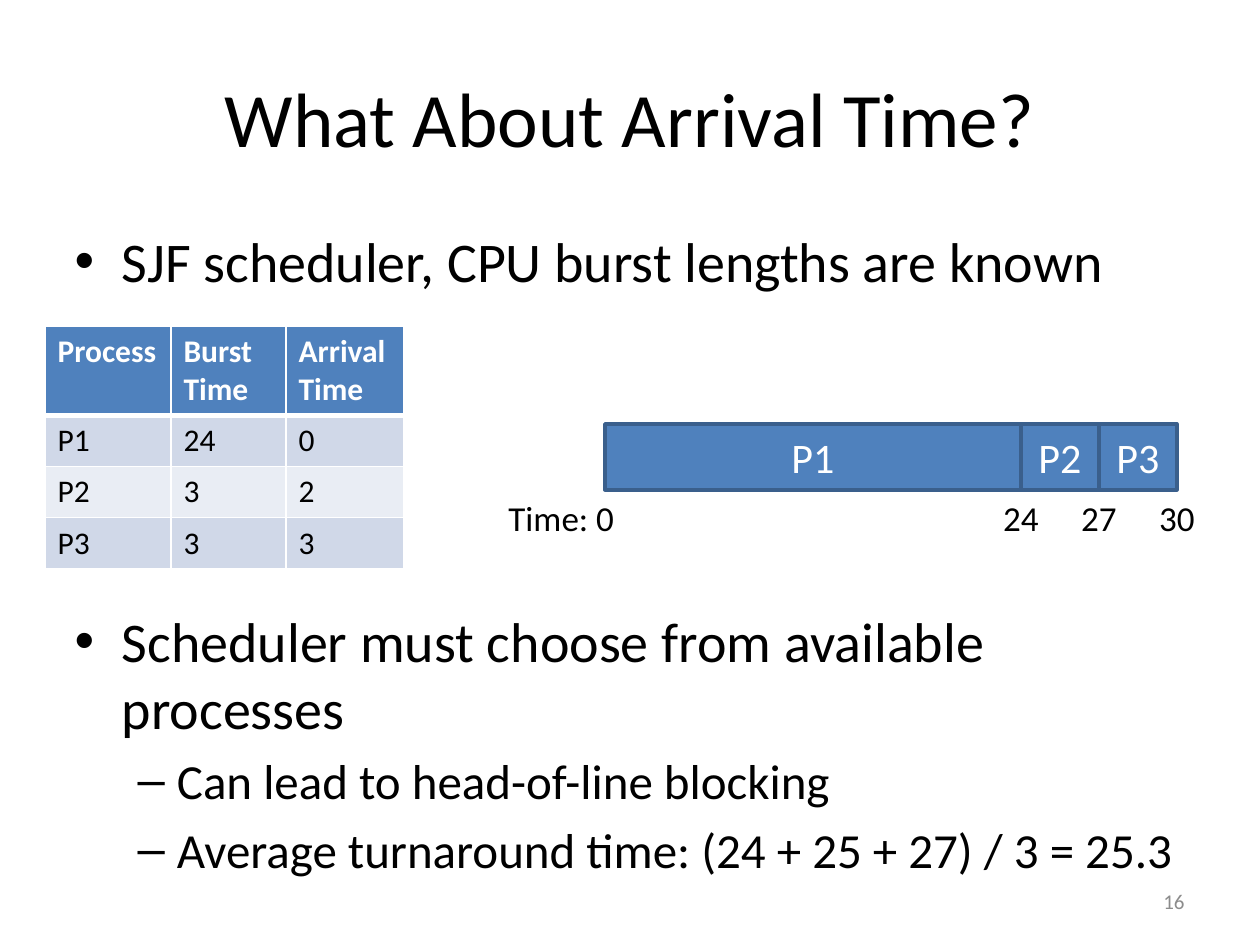
from lxml.etree import SubElement
from pptx import Presentation
from pptx.dml.color import RGBColor
from pptx.enum.shapes import MSO_SHAPE
from pptx.enum.text import MSO_ANCHOR, MSO_AUTO_SIZE, PP_ALIGN
from pptx.oxml.ns import qn
from pptx.util import Pt

TITLE = "What About Arrival Time?"
INTRO = [(0, "SJF scheduler, CPU burst lengths are known")]
POINTS = [
    (0, "Scheduler must choose from available processes"),
    (1, "Can lead to head-of-line blocking"),
    (1, "Average turnaround time: (24 + 25 + 27) / 3 = 25.3"),
]
ROWS = [
    ("Process", "Burst Time", "Arrival Time"),
    ("P1", "24", "0"),
    ("P2", "3", "2"),
    ("P3", "3", "3"),
]
COLS = (126, 115, 118)
HEAD, ROW = 89, 51
BARS = [("P1", 416, "24"), ("P2", 78, "27"), ("P3", 78, "30")]
START, TOP, HIGH = 605, 424, 66
SIZES = (32, 28)
COLORS = {
    "blue": "4F81BD", "edge": "3A5F8C", "odd": "D0D8E8", "even": "E9EDF4",
    "white": "FFFFFF", "black": "000000", "gray": "8C8C8C",
}
FONT = "Calibri"
SCALE = 914400 / 126


def px(n):
    return round(n * SCALE)


def rgb(name):
    return RGBColor.from_string(COLORS[name])


def style(para, size, color="black", align=None, bold=False):
    font = para.font
    font.name, font.size, font.bold = FONT, Pt(size), bold
    font.color.rgb = rgb(color)
    para.alignment = align


def place(shape, *box):
    shape.left, shape.top, shape.width, shape.height = map(px, box)


def label(text, box, size, color="black", align=None, wrap=False):
    frame = slide.shapes.add_textbox(*map(px, box)).text_frame
    frame.word_wrap = wrap
    frame.text = text
    style(frame.paragraphs[0], size, color, align)
    return frame


def bullets(holder, items, box):
    place(holder, *box)
    frame = holder.text_frame
    frame.auto_size = MSO_AUTO_SIZE.NONE
    frame.text = "\n".join(text for _, text in items)
    for para, (level, _) in zip(frame.paragraphs, items):
        para.level = level
        style(para, SIZES[level])


def border(cell, first):
    props = cell._tc.get_or_add_tcPr()
    for side in "LRTB":
        width = 3 if first and side == "B" else 1
        line = SubElement(props, qn(f"a:ln{side}"), w=str(Pt(width)))
        fill = SubElement(line, qn("a:solidFill"))
        SubElement(fill, qn("a:srgbClr"), val=COLORS["white"])


deck = Presentation()
deck.slide_width, deck.slide_height = px(1260), px(945)
slide = deck.slides.add_slide(deck.slide_layouts[3])
title, intro, points = slide.placeholders

place(title, 63, 38, 1134, 157)
title.text_frame.text = TITLE
style(title.text_frame.paragraphs[0], 44, align=PP_ALIGN.CENTER)
bullets(intro, INTRO, (62, 220, 1134, 93))
bullets(points, POINTS, (62, 600, 1134, 307))

size = (sum(COLS), HEAD + ROW * (len(ROWS) - 1))
frame = slide.shapes.add_table(len(ROWS), len(COLS), *map(px, (45, 326, *size)))
table = frame.table
for col, wide in zip(table.columns, COLS):
    col.width = px(wide)
for r, row in enumerate(ROWS):
    first = r == 0
    table.rows[r].height = px(HEAD if first else ROW)
    shade = "blue" if first else "odd" if r % 2 else "even"
    for c, text in enumerate(row):
        cell = table.cell(r, c)
        cell.text = text
        style(cell.text_frame.paragraphs[0], 18,
              "white" if first else "black", bold=first)
        border(cell, first)
        cell.fill.solid()
        cell.fill.fore_color.rgb = rgb(shade)

label("Time: 0", (496, TOP + HIGH, 132, 55), 20)
left = START
for name, wide, end in BARS:
    bar = slide.shapes.add_shape(
        MSO_SHAPE.RECTANGLE, *map(px, (left, TOP, wide, HIGH)))
    bar.shadow.inherit = False
    bar.fill.solid()
    bar.fill.fore_color.rgb = rgb("blue")
    bar.line.color.rgb = rgb("edge")
    bar.line.width = Pt(2)
    bar.text_frame.text = name
    bar.text_frame.vertical_anchor = MSO_ANCHOR.MIDDLE
    style(bar.text_frame.paragraphs[0], 24, "white", PP_ALIGN.CENTER)
    left += wide
    label(end, (left - 31, TOP + HIGH, 62, 55), 20, align=PP_ALIGN.CENTER)

page = label("16", (903, 876, 294, 50), 12, "gray", PP_ALIGN.RIGHT, True)
page.vertical_anchor = MSO_ANCHOR.MIDDLE

deck.save("out.pptx")
